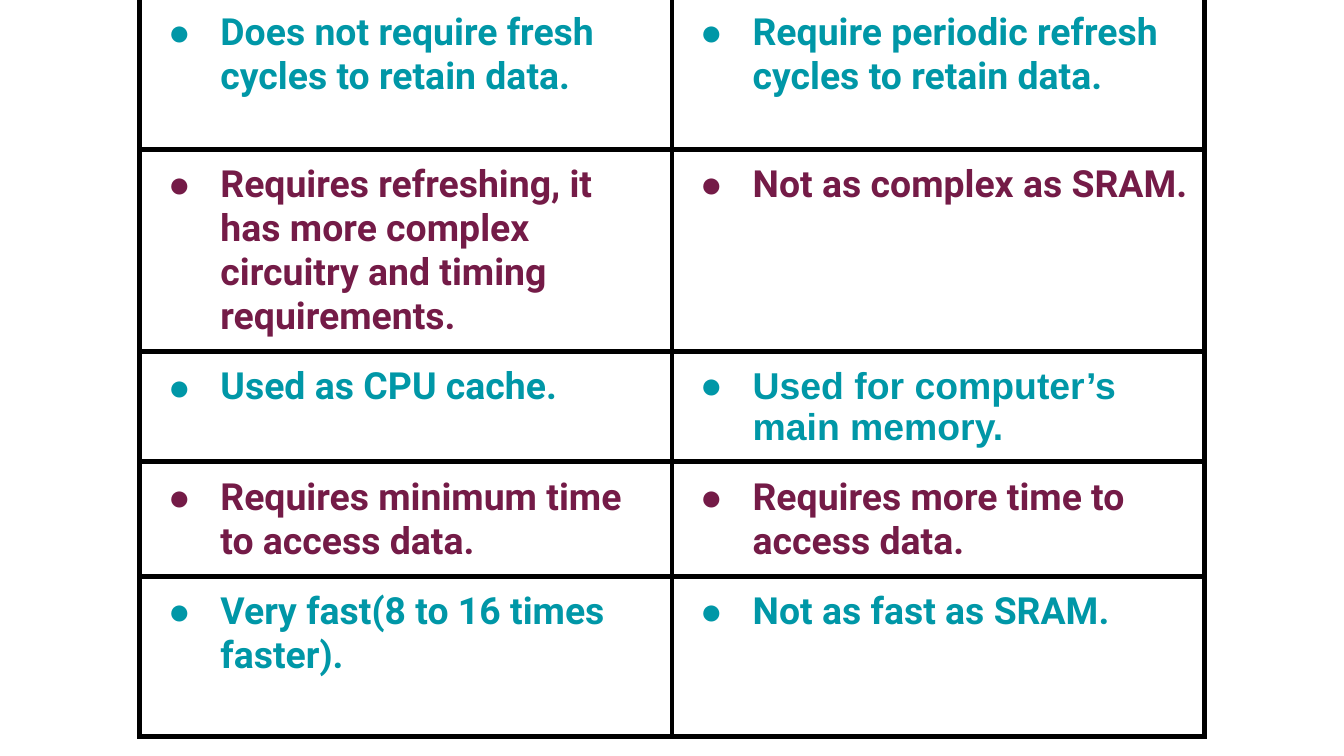
import pptx
import pptx.dml.color
import pptx.oxml
import pptx.oxml.ns
import pptx.util
from pptx.util import Inches

RGBColor = pptx.dml.color.RGBColor
TEAL = RGBColor(0x00, 0x97, 0xA7)
PLUM = RGBColor(0x74, 0x1B, 0x47)
BLACK = RGBColor(0x00, 0x00, 0x00)

COL_W = 3.96
ROW_HEIGHTS = [1.13, 1.49, 0.82, 0.85, 1.19]
ROWS = [
    ("Does not require fresh cycles to retain data.",
     "Require periodic refresh cycles to retain data."),
    ("Requires refreshing, it has more complex circuitry and timing requirements.",
     "Not as complex as SRAM."),
    ("Used as CPU cache.", "Used for computer’s main memory."),
    ("Requires minimum time to access data.", "Requires more time to access data."),
    ("Very fast(8 to 16 times faster).", "Not as fast as SRAM."),
]
ARIAL_CELL = (2, 1)


def add_xml(parent, xml):
    """Append a DrawingML fragment, written with the a: prefix, to parent."""
    tag, rest = xml.split(" ", 1)
    ns = pptx.oxml.ns.nsdecls("a")
    parent.append(pptx.oxml.parse_xml(f"{tag} {ns} {rest}"))


def write_bullet(cell, text, color=BLACK, font="Roboto", size=20, bold=True):
    p = cell.text_frame.paragraphs[0]
    pPr = p._p.get_or_add_pPr()
    pPr.set("marL", str(Inches(0.5)))
    pPr.set("indent", str(Inches(-0.39)))
    add_xml(pPr, f'<a:buClr ><a:srgbClr val="{color}"/></a:buClr>')
    add_xml(pPr, '<a:buFont typeface="Arial"/>')
    add_xml(pPr, '<a:buChar char="●"/>')
    r = p.add_run()
    r.text = text
    r.font.name = font
    r.font.size = pptx.util.Pt(size)
    r.font.bold = bold
    r.font.color.rgb = color


prs = pptx.Presentation()
prs.slide_width = Inches(10)
prs.slide_height = Inches(10 * 9 / 16)
s = prs.slides.add_slide(prs.slide_layouts[6])

table = s.shapes.add_table(
    len(ROWS), 2, Inches(1.04), Inches(-0.02),
    Inches(2 * COL_W), Inches(sum(ROW_HEIGHTS))).table
table.first_row = False
table.horz_banding = False
for col in table.columns:
    col.width = Inches(COL_W)

for i, (height, texts) in enumerate(zip(ROW_HEIGHTS, ROWS)):
    table.rows[i].height = Inches(height)
    for j, text in enumerate(texts):
        cell = table.cell(i, j)
        cell.margin_left = cell.margin_right = Inches(0.1)
        cell.margin_top = cell.margin_bottom = Inches(0.1)
        write_bullet(cell, text, color=PLUM if i % 2 else TEAL,
                     font="Arial" if (i, j) == ARIAL_CELL else "Roboto")
        tcPr = cell._tc.get_or_add_tcPr()
        for side in ("lnL", "lnR", "lnT", "lnB"):
            add_xml(tcPr, f'<a:{side} w="{pptx.util.Pt(3)}"><a:solidFill>'
                          f'<a:srgbClr val="{BLACK}"/></a:solidFill></a:{side}>')
        cell.fill.background()

prs.save("out.pptx")
